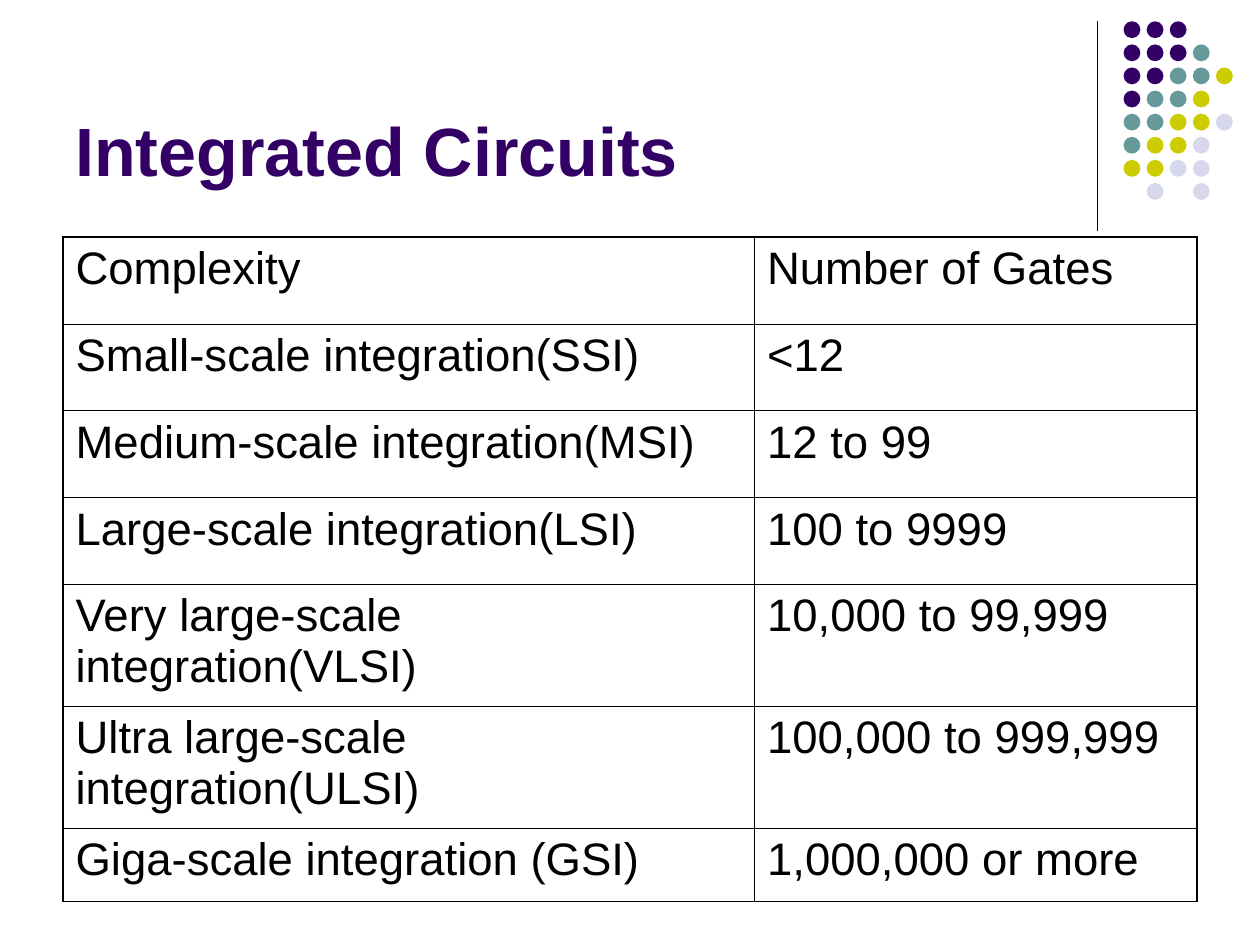
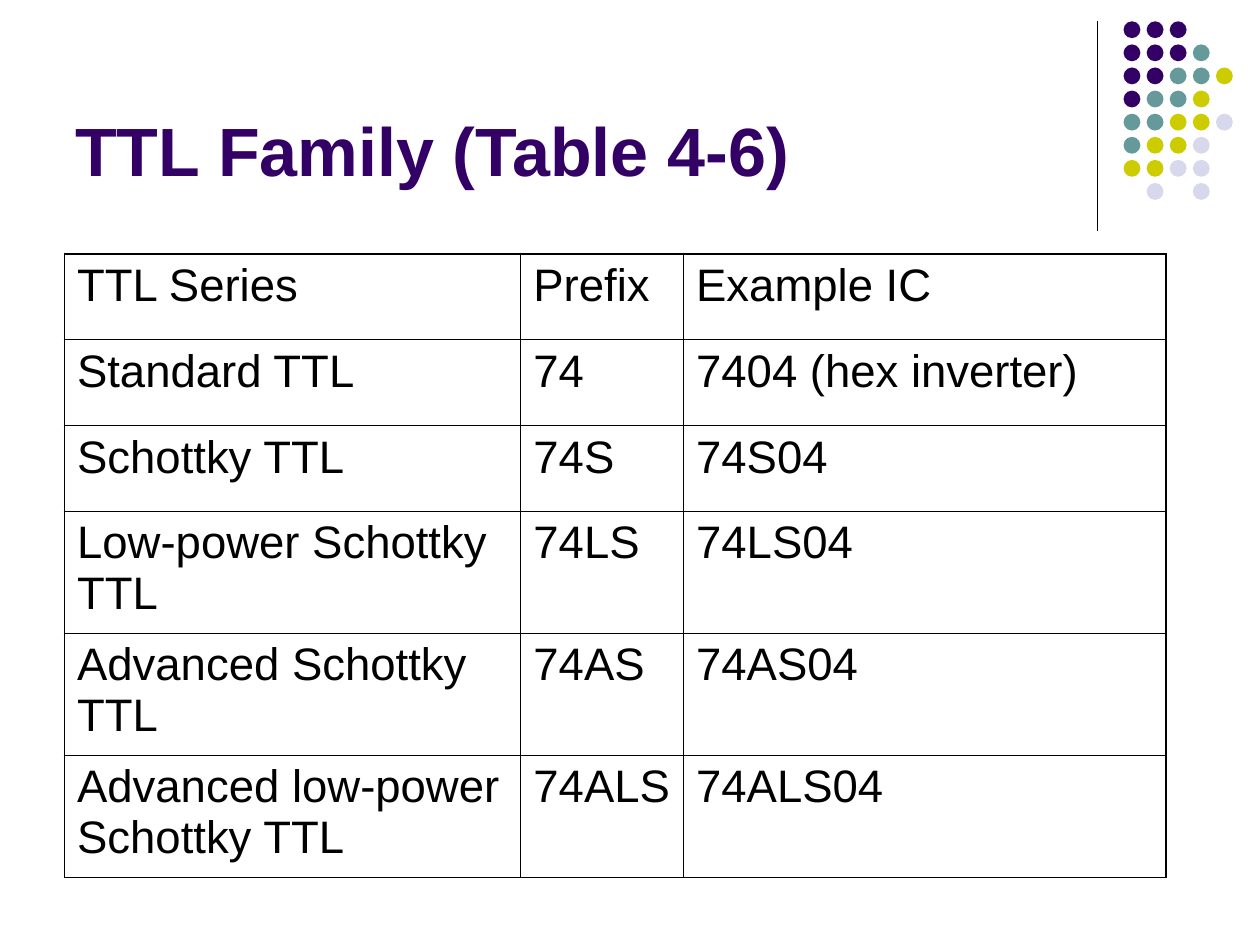
"""Build two slides of digital circuit tables with a shared title style and dot motif."""
from lxml.etree import SubElement
from pptx import Presentation
from pptx.dml.color import RGBColor
from pptx.enum.shapes import MSO_CONNECTOR as Connector, MSO_SHAPE as Shape
from pptx.enum.text import MSO_ANCHOR as Anchor
from pptx.oxml import parse_xml
from pptx.oxml.ns import nsdecls, qn
from pptx.util import Cm, Pt

SLIDES = [
    {
        "title": "Integrated Circuits",
        "origin": (1.27, 4.78),
        "columns": [13.94, 8.92],
        "row_heights": [1.75] * 4 + [2.46] * 2 + [1.47],
        "rows": [
            ("Complexity", "Number of Gates"),
            ("Small-scale integration(SSI)", "<12"),
            ("Medium-scale integration(MSI)", "12 to 99"),
            ("Large-scale integration(LSI)", "100 to 9999"),
            ("Very large-scale integration(VLSI)", "10,000 to 99,999"),
            ("Ultra large-scale integration(ULSI)", "100,000 to 999,999"),
            ("Giga-scale integration (GSI)", "1,000,000 or more"),
        ],
    },
    {
        "title": "TTL Family (Table 4-6)",
        "origin": (1.3, 5.12),
        "columns": [9.2, 3.28, 9.73],
        "row_heights": [1.73] * 3 + [2.46] * 3,
        "rows": [
            ("TTL Series", "Prefix", "Example IC"),
            ("Standard TTL", "74", "7404 (hex inverter)"),
            ("Schottky TTL", "74S", "74S04"),
            ("Low-power Schottky TTL", "74LS", "74LS04"),
            ("Advanced Schottky TTL", "74AS", "74AS04"),
            ("Advanced low-power Schottky TTL", "74ALS", "74ALS04"),
        ],
    },
]

FONT = "Arial"
PURPLE, BLACK = "330066", "000000"
DOT_COLOURS = {"P": PURPLE, "T": "669999", "Y": "CCCC00", "L": "D8D8EC"}
DOT_ROWS = ["PPP", "PPPT", "PPTTY", "PTTY", "TTYYL", "TYYL", "YYLL", ".L.L"]
DOT_LEFT, DOT_TOP, DOT_SIZE = 22.65, 0.43, 0.34
DOT_PITCH = 3.26 / (len(DOT_ROWS) - 1)
OUTER_LINE, INNER_LINE = 1.08, 0.45


def colour(value):
    return RGBColor.from_string(value)


def format_text(text_frame, size, value, bold=False):
    for paragraph in text_frame.paragraphs:
        for run in paragraph.runs:
            font = run.font
            font.name, font.size, font.bold = FONT, Pt(size), bold
            font.color.rgb = colour(value)


def add_motif(slide):
    divider = slide.shapes.add_connector(
        Connector.STRAIGHT, Cm(22.12), Cm(0.42), Cm(22.12), Cm(4.66))
    divider.line.color.rgb = colour(BLACK)
    divider.line.width = Pt(0.75)
    SubElement(divider._element.spPr, qn("a:effectLst"))
    dots = slide.shapes.add_group_shape()
    for row, keys in enumerate(DOT_ROWS):
        for column, key in enumerate(keys):
            if key not in DOT_COLOURS:
                continue
            dot = dots.shapes.add_shape(
                Shape.OVAL, Cm(DOT_LEFT + column * DOT_PITCH),
                Cm(DOT_TOP + row * DOT_PITCH), Cm(DOT_SIZE), Cm(DOT_SIZE))
            dot.shadow.inherit = False
            dot.fill.solid()
            dot.fill.fore_color.rgb = colour(DOT_COLOURS[key])
            dot.line.fill.background()


def add_title(slide, text):
    title = slide.shapes.add_textbox(Cm(1.27), Cm(0.33), Cm(20.96), Cm(3.63))
    frame = title.text_frame
    frame.word_wrap = True
    frame.vertical_anchor = Anchor.BOTTOM
    frame.text = text
    format_text(frame, 39, PURPLE, bold=True)


def set_borders(cell, widths):
    properties = cell._tc.get_or_add_tcPr()
    for index, (side, width) in enumerate(zip("LRTB", widths)):
        properties.insert(index, parse_xml(
            f'<a:ln{side} {nsdecls("a")} w="{Pt(width)}"><a:solidFill>'
            f'<a:srgbClr val="{BLACK}"/></a:solidFill></a:ln{side}>'))


def add_grid(slide, content):
    rows, columns, heights = (content[key] for key in ("rows", "columns", "row_heights"))
    left, top = content["origin"]
    table = slide.shapes.add_table(
        len(rows), len(columns), Cm(left), Cm(top), Cm(sum(columns)), Cm(sum(heights))).table
    table.first_row = table.horz_banding = False
    for column, width in zip(table.columns, columns):
        column.width = Cm(width)
    last_row, last_column = len(rows) - 1, len(columns) - 1
    for r, (texts, height) in enumerate(zip(rows, heights)):
        table.rows[r].height = Cm(height)
        for c, text in enumerate(texts):
            cell = table.cell(r, c)
            cell.text_frame.text = text
            format_text(cell.text_frame, 26, BLACK)
            cell.fill.background()
            edges = (c == 0, c == last_column, r == 0, r == last_row)
            set_borders(cell, [OUTER_LINE if edge else INNER_LINE for edge in edges])


def main():
    presentation = Presentation()
    presentation.slide_width, presentation.slide_height = Cm(25.4), Cm(19.05)
    for content in SLIDES:
        slide = presentation.slides.add_slide(presentation.slide_layouts[6])
        add_motif(slide)
        add_title(slide, content["title"])
        add_grid(slide, content)
    presentation.save("out.pptx")


if __name__ == "__main__":
    main()
